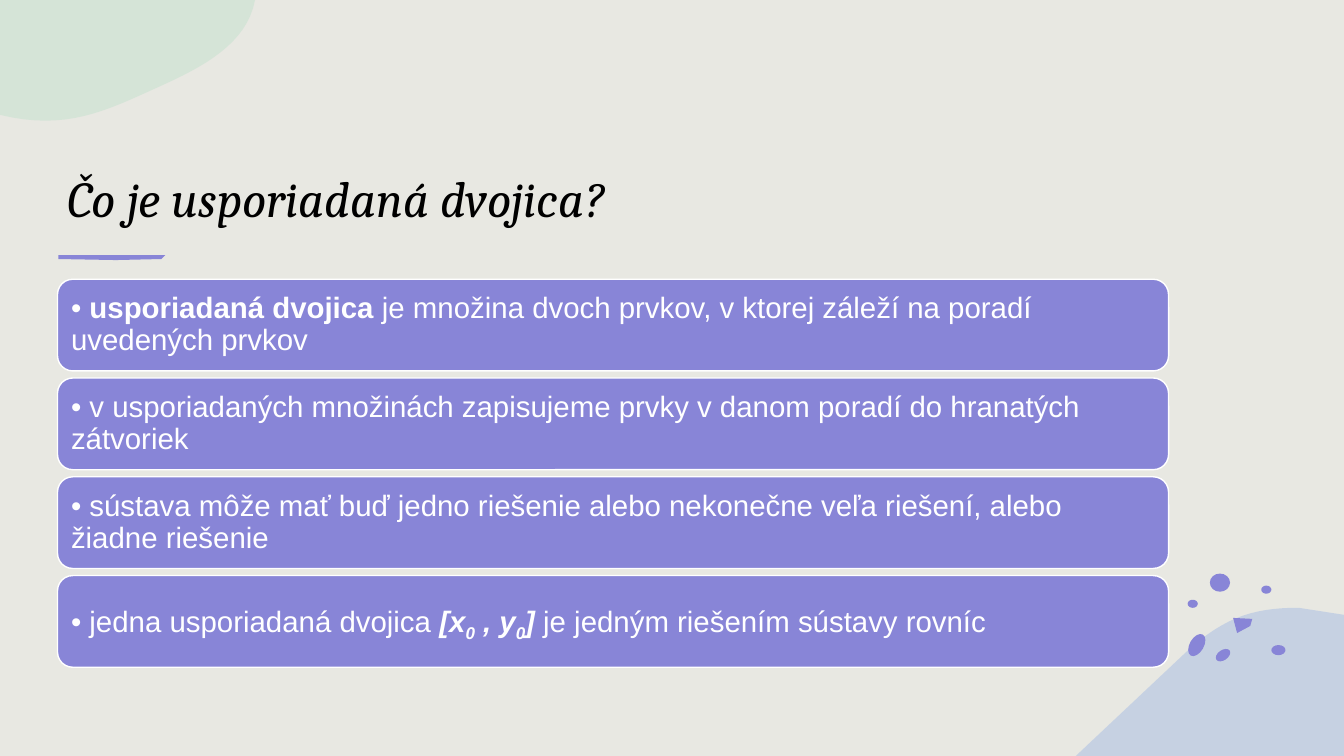
from dataclasses import dataclass
from math import cos, pi, radians, sin

from lxml.etree import SubElement
from pptx import Presentation
from pptx.dml.color import RGBColor
from pptx.enum.shapes import MSO_SHAPE as Shapes
from pptx.enum.text import MSO_ANCHOR as Anchor, PP_ALIGN as Align
from pptx.oxml.ns import qn
from pptx.slide import Slide
from pptx.text.text import TextFrame
from pptx.util import Inches, Pt

Point = tuple[float, float]


@dataclass(frozen=True)
class Theme:
    background: str = "E8E8E2"
    accent: str = "8885D7"
    blue: str = "A6BCE2"
    green: str = "C3E1CE"
    light: str = "FFFFFF"
    dark: str = "000000"
    title_font: str = "Cambria"
    body_font: str = "Arial"
    title_size: float = 36
    body_size: float = 21


@dataclass(frozen=True)
class Outline:
    segments: tuple[tuple[float, ...], ...]
    color: str
    opacity: int = 100


@dataclass(frozen=True)
class Dot:
    x: float
    y: float
    radius_x: float
    radius_y: float
    tilt: float = 0


@dataclass(frozen=True)
class Span:
    text: str
    bold: bool = False
    italic: bool = False
    subscript: bool = False


THEME = Theme()
CURVE_STEPS = 16
CARD_LEFT, CARD_TOP, CARD_WIDTH, CARD_HEIGHT, CARD_PITCH = 0.57, 2.77, 11.02, 0.91, 0.98

BLUE_HILL = Outline((
    (10.67, 7.5), (11.69, 6.54), (12.1, 6.14, 12.4, 6.03, 12.88, 6.03), (13.33, 6.1), (13.33, 7.5),
), THEME.blue, 50)
GREEN_CORNER = Outline((
    (0, 0), (2.53, 0), (2.45, 0.44, 2, 0.67, 1.58, 0.86), (1.05, 1.1, 0.66, 1.3, 0, 1.14),
), THEME.green, 50)
TRIANGLE = Outline(((12.23, 6.13), (12.42, 6.14), (12.4, 6.21), (12.27, 6.28)), THEME.accent)
UNDERLINE = Outline(((0.58, 2.53), (1.64, 2.53), (1.6, 2.57), (1.15, 2.58), (0.58, 2.57)), THEME.accent)

DOTS = (
    Dot(12.13, 6.5, 0.08, 0.05, -35),
    Dot(11.87, 6.4, 0.12, 0.07, -60),
    Dot(12.68, 6.45, 0.07, 0.05),
    Dot(12.1, 5.78, 0.1, 0.09),
    Dot(12.56, 5.85, 0.05, 0.04),
    Dot(11.83, 5.99, 0.05, 0.04),
)

CARDS = (
    (Span("• "), Span("usporiadaná dvojica ", bold=True),
     Span("je množina dvoch prvkov, v ktorej záleží na poradí uvedených prvkov")),
    (Span("• v usporiadaných množinách zapisujeme prvky v danom poradí do hranatých zátvoriek"),),
    (Span("• sústava môže mať buď jedno riešenie alebo nekonečne veľa riešení, alebo žiadne riešenie"),),
    (Span("• jedna usporiadaná dvojica "), Span("[x", True, True), Span("0", True, True, True),
     Span(" , y", True, True), Span("0", True, True, True), Span("] ", True, True),
     Span("je jedným riešením sústavy rovníc")),
)


def trace(outline: Outline) -> list[Point]:
    points: list[Point] = []
    for segment in outline.segments:
        if len(segment) == 2:
            points.append(segment)
            continue
        x0, y0 = points[-1]
        x1, y1, x2, y2, x3, y3 = segment
        for step in range(1, CURVE_STEPS + 1):
            t = step / CURVE_STEPS
            a, b, c, d = (1 - t) ** 3, 3 * t * (1 - t) ** 2, 3 * t * t * (1 - t), t ** 3
            points.append((a * x0 + b * x1 + c * x2 + d * x3, a * y0 + b * y1 + c * y2 + d * y3))
    return points


def dot_outline(dot: Dot) -> Outline:
    tilt = radians(dot.tilt)
    points = []
    for step in range(CURVE_STEPS):
        angle = 2 * pi * step / CURVE_STEPS
        across, down = dot.radius_x * cos(angle), dot.radius_y * sin(angle)
        points.append((dot.x + across * cos(tilt) - down * sin(tilt),
                       dot.y + across * sin(tilt) + down * cos(tilt)))
    return Outline(tuple(points), THEME.accent)


def draw_outline(slide: Slide, outline: Outline) -> None:
    points = [(Inches(x), Inches(y)) for x, y in trace(outline)]
    builder = slide.shapes.build_freeform(*points[0])
    builder.add_line_segments(points[1:], close=True)
    shape = builder.convert_to_shape()
    shape.shadow.inherit = False
    shape.fill.solid()
    shape.fill.fore_color.rgb = RGBColor.from_string(outline.color)
    shape.line.fill.background()
    if outline.opacity < 100:
        color = shape.fill._xPr.find(qn("a:solidFill"))[0]
        SubElement(color, qn("a:alpha")).set("val", str(outline.opacity * 1000))


def write_spans(frame: TextFrame, spans: tuple[Span, ...], font: str, size: float,
                color: str, spacing: float) -> None:
    frame.word_wrap = True
    paragraph = frame.paragraphs[0]
    paragraph.alignment = Align.LEFT
    paragraph.line_spacing = spacing
    for span in spans:
        run = paragraph.add_run()
        run.text = span.text
        run.font.name = font
        run.font.size = Pt(size)
        run.font.color.rgb = RGBColor.from_string(color)
        run.font.bold = span.bold
        run.font.italic = span.italic
        if span.subscript:
            run._r.get_or_add_rPr().set("baseline", "-25000")


def draw_title(slide: Slide) -> None:
    shape = slide.shapes.add_textbox(Inches(CARD_LEFT), Inches(0.86), Inches(CARD_WIDTH), Inches(1.45))
    shape.text_frame.vertical_anchor = Anchor.BOTTOM
    write_spans(shape.text_frame, (Span("Čo je usporiadaná dvojica?", italic=True),),
                THEME.title_font, THEME.title_size, THEME.dark, 1.0)


def draw_card(slide: Slide, top: float, spans: tuple[Span, ...]) -> None:
    shape = slide.shapes.add_shape(Shapes.ROUNDED_RECTANGLE, Inches(CARD_LEFT), Inches(top),
                                   Inches(CARD_WIDTH), Inches(CARD_HEIGHT))
    shape.shadow.inherit = False
    shape.fill.solid()
    shape.fill.fore_color.rgb = RGBColor.from_string(THEME.accent)
    shape.line.color.rgb = RGBColor.from_string(THEME.light)
    shape.line.width = Pt(1)
    frame = shape.text_frame
    frame.vertical_anchor = Anchor.MIDDLE
    frame.margin_left = frame.margin_right = frame.margin_top = frame.margin_bottom = Inches(0.09)
    write_spans(frame, spans, THEME.body_font, THEME.body_size, THEME.light, 0.9)


def main() -> None:
    presentation = Presentation()
    presentation.slide_width, presentation.slide_height = Inches(13.33), Inches(7.5)
    slide = presentation.slides.add_slide(presentation.slide_layouts[6])
    slide.background.fill.solid()
    slide.background.fill.fore_color.rgb = RGBColor.from_string(THEME.background)
    for outline in (BLUE_HILL, *map(dot_outline, DOTS), TRIANGLE, GREEN_CORNER, UNDERLINE):
        draw_outline(slide, outline)
    draw_title(slide)
    for index, spans in enumerate(CARDS):
        draw_card(slide, CARD_TOP + index * CARD_PITCH, spans)
    presentation.save("out.pptx")


if __name__ == "__main__":
    main()
